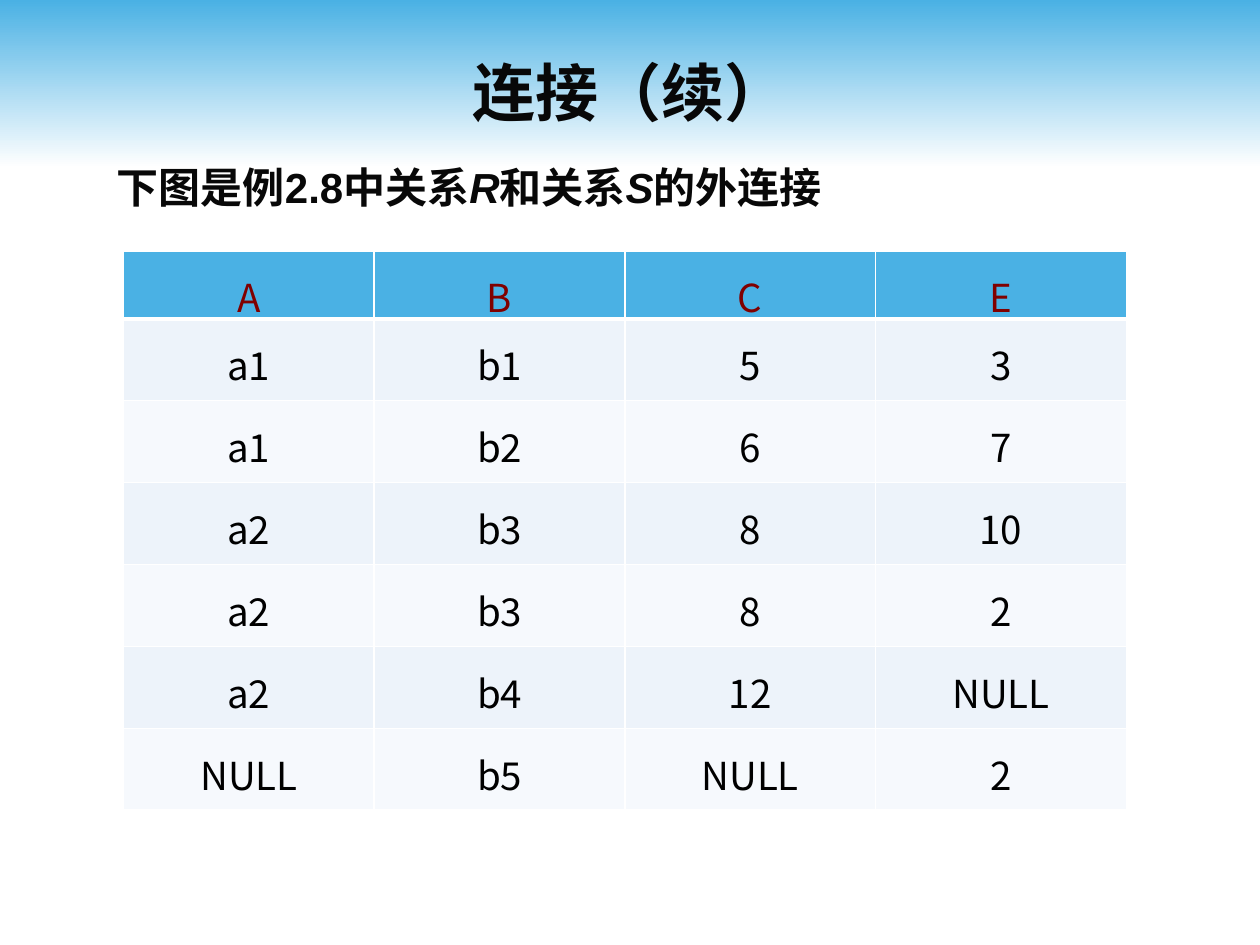
from lxml.etree import SubElement
from pptx import Presentation
from pptx.dml.color import RGBColor
from pptx.enum.shapes import MSO_SHAPE
from pptx.enum.text import MSO_ANCHOR, PP_ALIGN
from pptx.oxml.ns import qn
from pptx.util import Inches, Pt

# Content
TITLE = "连接（续）"
LEAD = [("下图是例2.8中关系", False), ("R", True), ("和关系", False),
        ("S", True), ("的外连接", False)]
ROWS = [
    ("A", "B", "C", "E"),
    ("a1", "b1", "5", "3"),
    ("a1", "b2", "6", "7"),
    ("a2", "b3", "8", "10"),
    ("a2", "b3", "8", "2"),
    ("a2", "b4", "12", "NULL"),
    ("NULL", "b5", "NULL", "2"),
]

THEME = {
    "sky": "4AB1E4", "white": "FFFFFF", "ink": "080808", "black": "000000",
    "head": "800000", "bands": ("F6F9FD", "EDF3FA"),
    "cjk": "Noto Sans CJK SC", "latin": "Arial",
    "title": 36, "lead": 24, "cell": 22, "line": 1, "rule": 3,
}
WIDE, HIGH = 10, 7.5
GRID = {"left": 0.98, "top": 1.99, "col": 1.99, "head": 0.49, "row": 0.65}


def color(name):
    return RGBColor.from_string(THEME.get(name, name))


def style(para, size, ink, face, bold=False):
    font = para.font
    font.size, font.bold, font.name = Pt(THEME[size]), bold, THEME[face]
    font.color.rgb = color(ink)
    SubElement(font._element, qn("a:ea"), typeface=THEME["cjk"])


def text_box(slide, left, top, width, height):
    box = slide.shapes.add_textbox(*map(Inches, (left, top, width, height)))
    frame = box.text_frame
    frame.word_wrap = True
    frame.vertical_anchor = MSO_ANCHOR.MIDDLE
    return frame.paragraphs[0]


def border(cell, side, width):
    line = SubElement(cell._tc.get_or_add_tcPr(), qn(f"a:ln{side}"),
                      w=str(Pt(width)))
    fill = SubElement(line, qn("a:solidFill"))
    SubElement(fill, qn("a:srgbClr"), val=THEME["white"])


def fill_cell(cell, text, row):
    thick = {"T": row == 1, "B": row == 0}
    for side in "LRTB":
        border(cell, side, THEME["rule" if thick.get(side) else "line"])
    cell.fill.solid()
    cell.fill.fore_color.rgb = color(THEME["bands"][row % 2] if row else "sky")
    para = cell.text_frame.paragraphs[0]
    para.text = text
    para.alignment = PP_ALIGN.CENTER
    para.line_spacing = 1.2
    style(para, "cell", "black" if row else "head", "cjk")


def main():
    deck = Presentation()
    deck.slide_width, deck.slide_height = Inches(WIDE), Inches(HIGH)
    slide = deck.slides.add_slide(deck.slide_layouts[6])

    # Sky band fading down to white
    band = slide.shapes.add_shape(MSO_SHAPE.RECTANGLE, 0, 0,
                                  Inches(WIDE), Inches(1.33))
    band.shadow.inherit = False
    band.line.fill.background()
    band.fill.gradient()
    band.fill.gradient_angle = 270
    for stop, name, place in zip(band.fill.gradient_stops,
                                 ("sky", "white"), (0, 1)):
        stop.color.rgb = color(name)
        stop.position = place

    # Title
    para = text_box(slide, 0.5, 0.25, WIDE - 1, 0.95)
    para.text = TITLE
    para.alignment = PP_ALIGN.CENTER
    style(para, "title", "ink", "cjk", True)

    # Lead sentence
    para = text_box(slide, 0.83, 1.23, 5.94, 0.5)
    for text, slant in LEAD:
        run = para.add_run()
        run.text = text
        if slant:
            run.font.italic = True
    style(para, "lead", "ink", "latin", True)

    # Outer join table
    count, cols = len(ROWS), len(ROWS[0])
    tall = GRID["head"] + GRID["row"] * (count - 1)
    table = slide.shapes.add_table(
        count, cols, Inches(GRID["left"]), Inches(GRID["top"]),
        Inches(GRID["col"] * cols), Inches(tall)).table
    for r, words in enumerate(ROWS):
        table.rows[r].height = Inches(GRID["row" if r else "head"])
        for c, word in enumerate(words):
            fill_cell(table.cell(r, c), word, r)

    deck.save("out.pptx")


if __name__ == "__main__":
    main()
